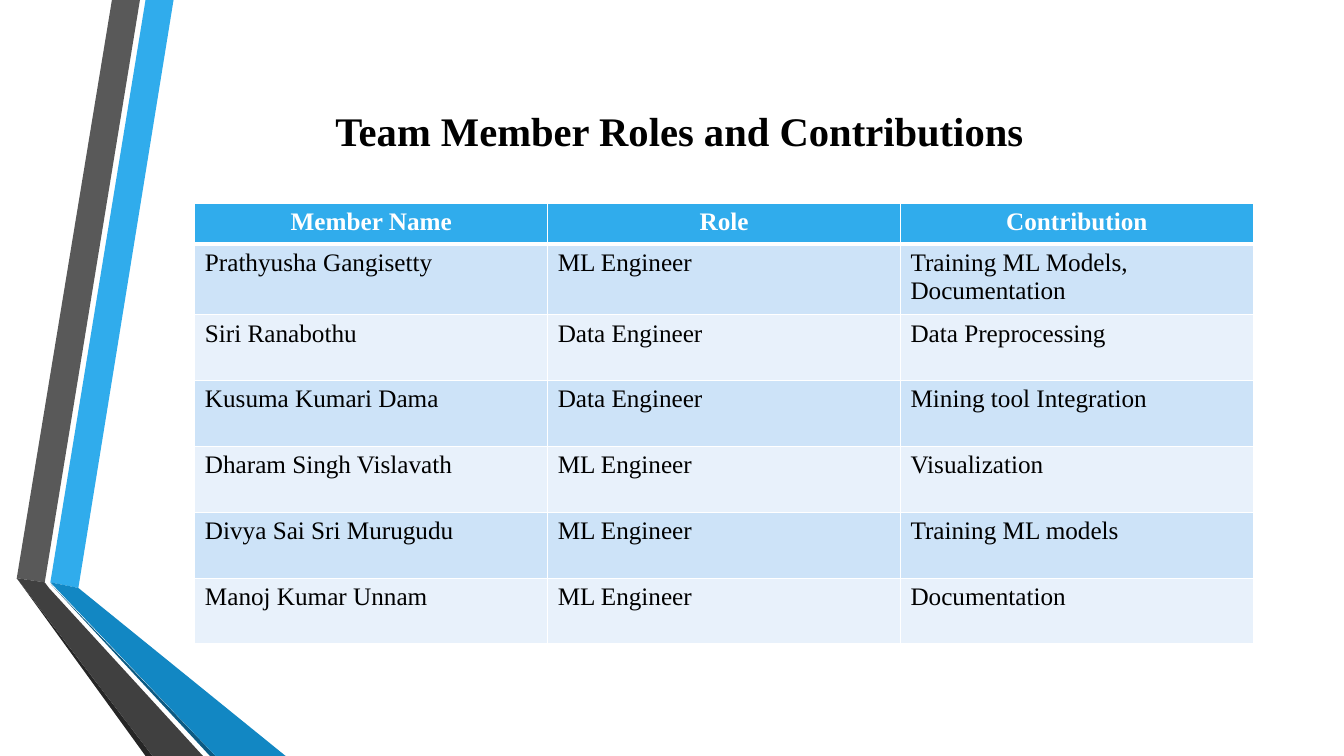
import pptx
import pptx.dml.color
import pptx.enum.text
import pptx.oxml
import pptx.oxml.ns
import pptx.util

Pt = pptx.util.Pt
FONT = "Times New Roman"
COLORS = {
    "black": "000000", "white": "FFFFFF",
    "blue": "30ACEC", "deep_blue": "1287C3", "navy": "0C5A82",
    "gray": "595959", "dark_gray": "404040", "charcoal": "262626",
    "band_dark": "CDE3F8", "band_light": "E8F1FB",
}
RIBBONS = [
    ("blue", [(36, 416.2), (55.5, 419.8), (124.5, 0), (104.5, 0)]),
    ("gray", [(100, 0), (80, 0), (11.5, 412.6), (31.7, 415.5)]),
    ("charcoal", [(11.5, 412.6), (104.5, 540), (108.7, 540)]),
    ("navy", [(36, 416.9), (149.8, 540), (154.1, 540)]),
    ("deep_blue", [(36, 416.2), (154.1, 540), (203.8, 540), (55.5, 419.8)]),
    ("dark_gray", [(11.5, 412.6), (108.7, 540), (145.4, 540), (34.6, 419.8), (31.7, 415.5)]),
]
HEADERS = ["Member Name", "Role", "Contribution"]
MEMBERS = [
    ("Prathyusha Gangisetty", "ML Engineer", "Training ML Models, Documentation"),
    ("Siri Ranabothu", "Data Engineer", "Data Preprocessing"),
    ("Kusuma Kumari Dama", "Data Engineer", "Mining tool Integration"),
    ("Dharam Singh Vislavath", "ML Engineer", "Visualization"),
    ("Divya Sai Sri Murugudu", "ML Engineer", "Training ML models"),
    ("Manoj Kumar Unnam", "ML Engineer", "Documentation"),
]
COLUMN_WIDTH, HEADER_HEIGHT, MEMBER_HEIGHT = 252, 29.2, 47.1


def rgb(name):
    return pptx.dml.color.RGBColor.from_string(COLORS[name])


def write(text_frame, text, size, color, bold, centered):
    paragraph = text_frame.paragraphs[0]
    paragraph.text = text
    paragraph.font.name = FONT
    paragraph.font.size = Pt(size)
    paragraph.font.bold = bold
    paragraph.font.color.rgb = rgb(color)
    alignment = pptx.enum.text.PP_ALIGN
    paragraph.alignment = alignment.CENTER if centered else alignment.LEFT


def add_ribbon(slide, color, points):
    builder = slide.shapes.build_freeform(*points[0], scale=Pt(1))
    builder.add_line_segments(points[1:], close=True)
    shape = builder.convert_to_shape()
    shape.shadow.inherit = False
    shape.fill.solid()
    shape.fill.fore_color.rgb = rgb(color)
    shape.line.fill.background()


def add_title(slide, text):
    box = slide.shapes.add_textbox(Pt(76.3), Pt(41.8), Pt(818.6), Pt(103))
    box.text_frame.word_wrap = True
    box.text_frame.vertical_anchor = pptx.enum.text.MSO_ANCHOR.MIDDLE
    write(box.text_frame, text, 29, "black", True, True)


def set_borders(cell, top, bottom):
    """Draw white cell borders; the side borders are one point wide."""
    properties = cell._tc.get_or_add_tcPr()
    namespace = pptx.oxml.ns.nsdecls("a")
    widths = {"lnL": 1, "lnR": 1, "lnT": top, "lnB": bottom}
    for index, (side, width) in enumerate(widths.items()):
        properties.insert(index, pptx.oxml.parse_xml(
            f'<a:{side} {namespace} w="{Pt(width)}"><a:solidFill>'
            f'<a:srgbClr val="{COLORS["white"]}"/></a:solidFill></a:{side}>'))


def add_member_table(slide):
    rows = [HEADERS, *MEMBERS]
    height = HEADER_HEIGHT + len(MEMBERS) * MEMBER_HEIGHT
    table = slide.shapes.add_table(
        len(rows), len(HEADERS), Pt(139.2), Pt(145),
        Pt(COLUMN_WIDTH * len(HEADERS)), Pt(height)).table
    for column in table.columns:
        column.width = Pt(COLUMN_WIDTH)
    for row_index, values in enumerate(rows):
        is_header = row_index == 0
        table.rows[row_index].height = Pt(HEADER_HEIGHT if is_header else MEMBER_HEIGHT)
        band = "band_dark" if row_index % 2 else "band_light"
        for column_index, text in enumerate(values):
            cell = table.cell(row_index, column_index)
            cell.fill.solid()
            cell.fill.fore_color.rgb = rgb("blue" if is_header else band)
            set_borders(cell, 3 if row_index == 1 else 1, 3 if is_header else 1)
            write(cell.text_frame, text, 18, "white" if is_header else "black",
                  is_header, is_header)


def main():
    presentation = pptx.Presentation()
    presentation.slide_width = Pt(960)
    presentation.slide_height = Pt(540)
    slide = presentation.slides.add_slide(presentation.slide_layouts[6])
    for color, points in RIBBONS:
        add_ribbon(slide, color, points)
    add_title(slide, "Team Member Roles and Contributions")
    add_member_table(slide)
    presentation.save("out.pptx")


if __name__ == "__main__":
    main()
